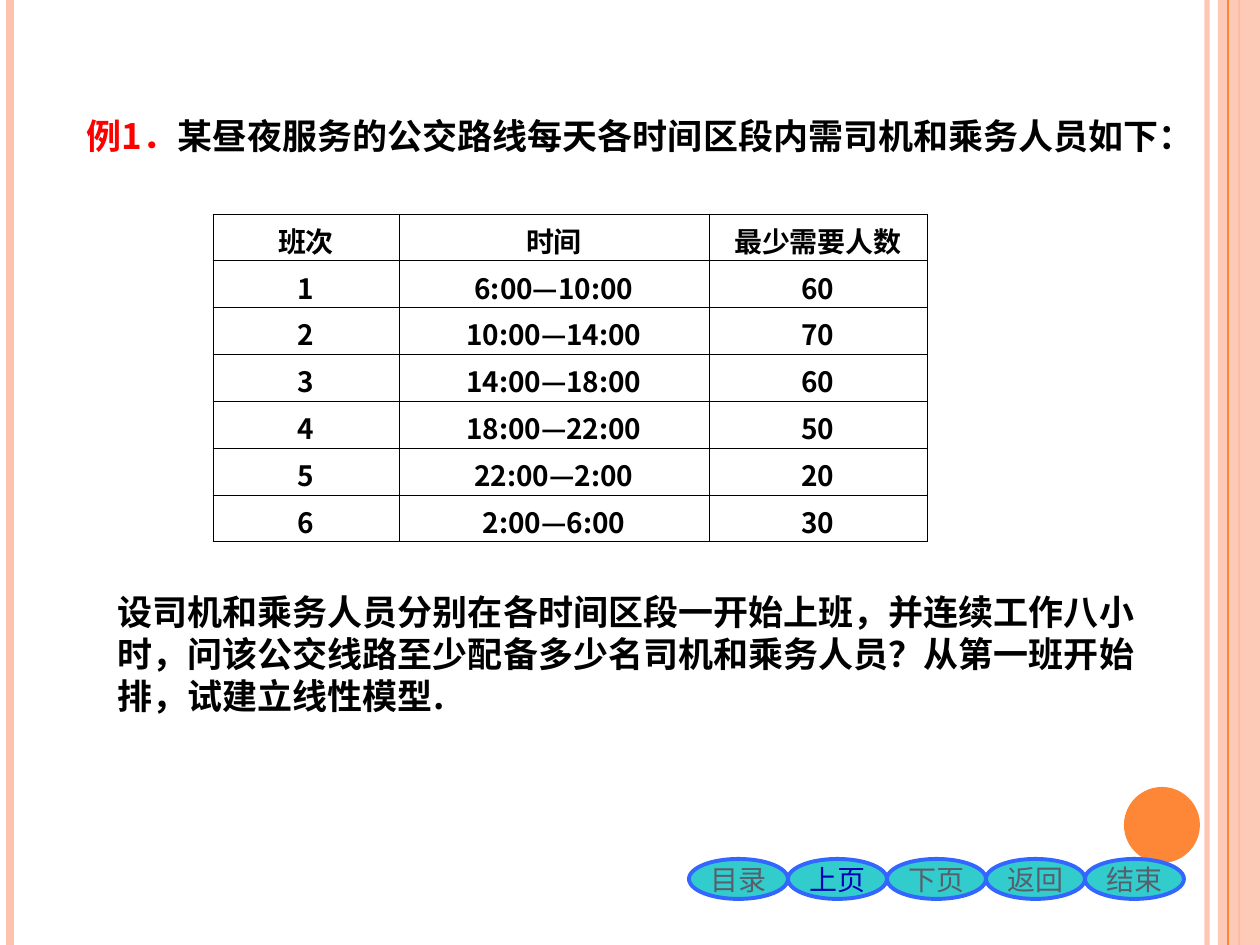
from lxml.etree import SubElement
from pptx import Presentation
from pptx.dml.color import RGBColor
from pptx.enum.shapes import MSO_CONNECTOR as Link, MSO_SHAPE as Shape
from pptx.enum.text import MSO_ANCHOR as Anchor, PP_ALIGN as Align
from pptx.oxml.ns import qn
from pptx.util import Emu, Pt

SCALE = 914400 / 126
WIDTH, HEIGHT = 1260, 945


def px(length):
    return Emu(round(length * SCALE))


def color(value):
    return RGBColor.from_string(value)


class SlideBuilder:
    font = "Noto Sans CJK SC"
    peach, orange, black, red = "FEC3AE", "FE8637", "000000", "FF0000"
    teal, blue, gray, navy = "33CCCC", "3366FF", "575F6D", "0000B4"
    body_size, small_size, leading = 20, 16, 24

    def __init__(self, page):
        self.page = page

    def set_alpha(self, element, percent):
        if percent < 100:
            tint = next(element.iter(qn("a:srgbClr")))
            SubElement(tint, qn("a:alpha"), val=str(percent * 1000))

    def add_span(self, para, text, size, tint, bold=False):
        span = para.add_run()
        span.text = text
        span.font.name = self.font
        span.font.size = Pt(size)
        span.font.bold = bold
        span.font.color.rgb = color(tint)
        SubElement(span.font._element, qn("a:ea"), typeface=self.font)

    def rule(self, x, tint, weight, alpha=100):
        line = self.page.shapes.add_connector(Link.STRAIGHT, px(x), 0, px(x), px(HEIGHT))
        line.line.color.rgb = color(tint)
        line.line.width = Pt(weight)
        self.set_alpha(line._element.spPr, alpha)
        SubElement(line._element.spPr, qn("a:effectLst"))

    def shape(self, kind, x, y, width, height, fill, outline=None, alpha=100):
        shape = self.page.shapes.add_shape(kind, px(x), px(y), px(width), px(height))
        shape.shadow.inherit = False
        shape.fill.solid()
        shape.fill.fore_color.rgb = color(fill)
        self.set_alpha(shape._element.spPr, alpha)
        if outline:
            shape.line.color.rgb = color(outline)
            shape.line.width = Pt(2.25)
        else:
            shape.line.fill.background()
        return shape

    def button(self, label, x, y, width, height, tint):
        frame = self.shape(Shape.OVAL, x, y, width, height, self.teal, self.blue).text_frame
        frame.word_wrap = False
        frame.vertical_anchor = Anchor.MIDDLE
        para = frame.paragraphs[0]
        para.alignment = Align.CENTER
        self.add_span(para, label, self.small_size, tint)

    def text(self, x, y, width, height, spans):
        box = self.page.shapes.add_textbox(px(x), px(y), px(width), px(height))
        frame = box.text_frame
        frame.word_wrap = True
        para = frame.paragraphs[0]
        para.line_spacing = Pt(self.leading)
        for text, tint in spans:
            self.add_span(para, text, self.body_size, tint, bold=True)

    def cell(self, cell, text):
        cell.margin_top, cell.margin_bottom = px(6), 0
        para = cell.text_frame.paragraphs[0]
        para.alignment = Align.CENTER
        self.add_span(para, text, self.small_size, self.black, bold=True)
        props = cell._tc.get_or_add_tcPr()
        for side in ("lnL", "lnR", "lnT", "lnB"):
            border = SubElement(props, qn(f"a:{side}"), w=str(Pt(0.45)))
            fill = SubElement(border, qn("a:solidFill"))
            SubElement(fill, qn("a:srgbClr"), val=self.black)
        cell.fill.background()

    def table(self, x, y, widths, height, rows):
        table = self.page.shapes.add_table(
            len(rows), len(widths), px(x), px(y), px(sum(widths)), px(height)).table
        table.first_row = table.horz_banding = False
        for column, width in zip(table.columns, widths):
            column.width = px(width)
        for row, values in zip(table.rows, rows):
            row.height = px(height / len(rows))
            for cell, value in zip(row.cells, values):
                self.cell(cell, value)


def main():
    deck = Presentation()
    deck.slide_width, deck.slide_height = px(WIDTH), px(HEIGHT)
    build = SlideBuilder(deck.slides.add_slide(deck.slide_layouts[6]))

    # Side stripes and page disc
    build.rule(1207, build.peach, 3, alpha=93)
    build.rule(10, build.peach, 4.5)
    build.rule(1239, build.orange, 1.5)
    build.shape(Shape.RECTANGLE, 1218, 0, 42, HEIGHT, build.peach, alpha=87)
    build.rule(1228, build.orange, 0.75)
    build.shape(Shape.OVAL, 1124, 787, 76, 76, build.orange)

    # Problem statement
    build.text(74, 108, 1119, 97, [
        ("例1．", build.red),
        ("某昼夜服务的公交路线每天各时间区段内需司机和乘务人员如下：", build.black)])

    # Shift table
    build.table(213, 214, [186, 310, 218], 328, [
        ("班次", "时间", "最少需要人数"),
        ("1", "6:00—10:00", "60"),
        ("2", "10:00—14:00", "70"),
        ("3", "14:00—18:00", "60"),
        ("4", "18:00—22:00", "50"),
        ("5", "22:00—2:00", "20"),
        ("6", "2:00—6:00", "30")])

    # Navigation buttons
    step = 99
    for index, label in enumerate(["目录", "上页", "下页", "返回", "结束"]):
        tint = build.navy if label == "上页" else build.gray
        build.button(label, 689 + index * step, 859, step, 40, tint)

    # Question
    build.text(105, 584, 1052, 223, [
        ("设司机和乘务人员分别在各时间区段一开始上班，并连续工作八小时，"
         "问该公交线路至少配备多少名司机和乘务人员？从第一班开始排，试建立线性模型.",
         build.black)])

    deck.save("out.pptx")


if __name__ == "__main__":
    main()
